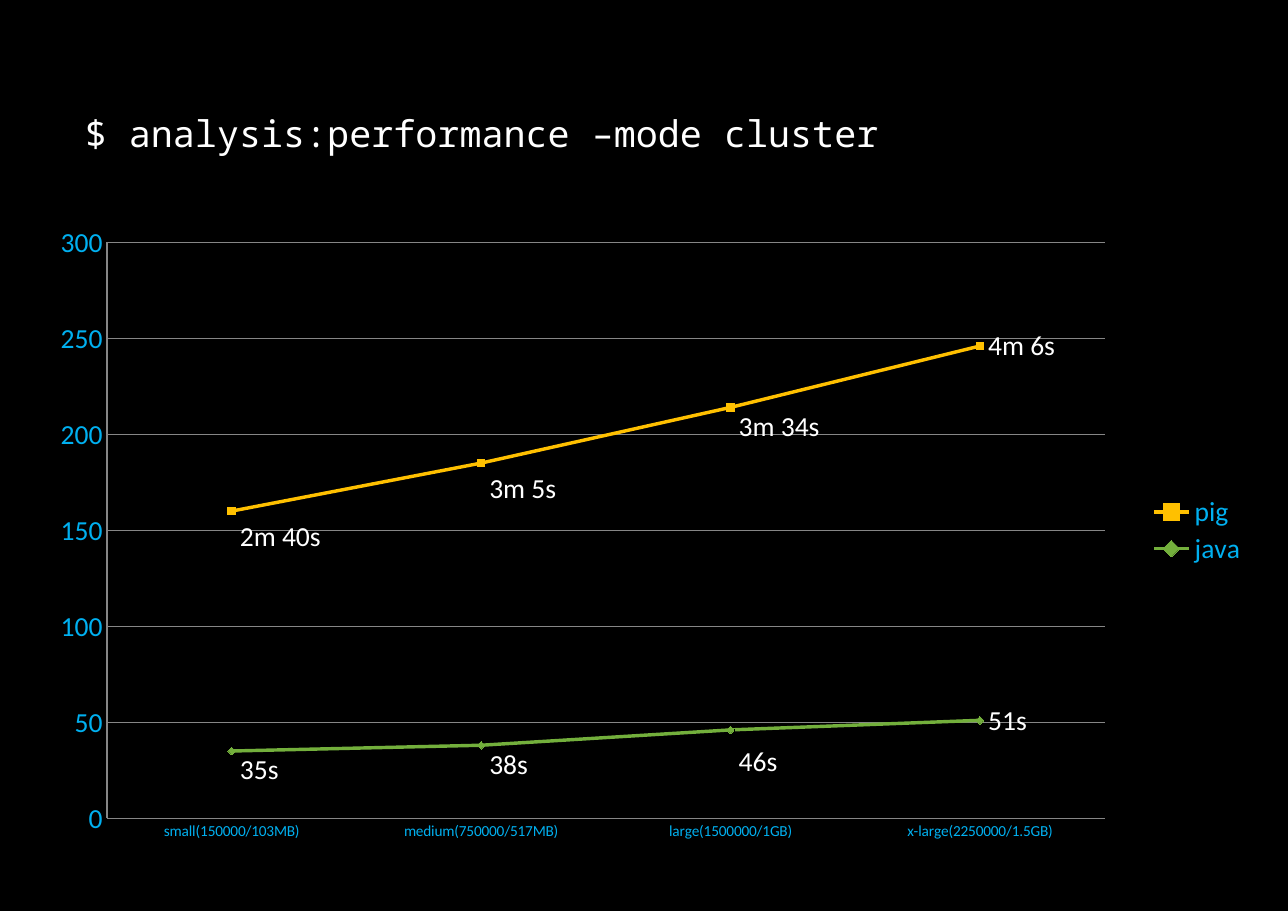
from dataclasses import dataclass

from lxml.etree import SubElement
from pptx import Presentation
from pptx.chart.data import CategoryChartData
from pptx.dml.color import RGBColor as RGB
from pptx.enum.chart import XL_CHART_TYPE as Chart, XL_LABEL_POSITION as LabelPos
from pptx.enum.chart import XL_LEGEND_POSITION as LegendPos, XL_TICK_MARK as Tick
from pptx.enum.text import MSO_ANCHOR as Anchor, MSO_AUTO_SIZE as AutoSize, PP_ALIGN as Align
from pptx.oxml import parse_xml
from pptx.oxml.ns import nsdecls, qn
from pptx.util import Pt


@dataclass(frozen=True)
class Theme:
    background: str = "000000"
    text: str = "FFFFFF"
    axis: str = "00B0F0"
    grid: str = "868686"
    body_font: str = "Calibri"
    title_font: str = "Noto Sans Mono"
    title_size: float = 24
    label_size: float = 18
    category_size: float = 10


@dataclass(frozen=True)
class Series:
    name: str
    color: str
    values: tuple
    labels: tuple
    drops: tuple


CATEGORIES = ("small(150000/103MB)", "medium(750000/517MB)",
              "large(1500000/1GB)", "x-large(2250000/1.5GB)")
SERIES = (
    Series("pig", "FFC000", (160, 185, 214, 246),
           ("2m 40s", "3m 5s", "3m 34s", "4m 6s"), (0.04, 0.04, 0.03, 0)),
    Series("java", "73AF3C", (35, 38, 46, 51),
           ("35s", "38s", "46s", "51s"), (0.03, 0.03, 0.05, 0)),
)


class SlideBuilder:
    def __init__(self, slide, theme):
        self.slide = slide
        self.theme = theme
        fill = slide.background.fill
        fill.solid()
        fill.fore_color.rgb = RGB.from_string(theme.background)

    def style(self, font, size, color, name=None):
        font.name = name or self.theme.body_font
        font.size = Pt(size)
        font.bold = False
        font.color.rgb = RGB.from_string(color)

    def stroke(self, line, color, width):
        line.color.rgb = RGB.from_string(color)
        line.width = Pt(width)

    def title(self, text, x, y, w, h):
        t = self.theme
        sp = self.slide.shapes.title
        sp.left, sp.top, sp.width, sp.height = Pt(x), Pt(y), Pt(w), Pt(h)
        sp.fill.solid()
        sp.fill.fore_color.rgb = RGB.from_string(t.background)
        self.stroke(sp.line, t.background, 2)
        tf = sp.text_frame
        tf.text = text
        tf.word_wrap = True
        tf.auto_size = AutoSize.NONE
        tf.vertical_anchor = Anchor.TOP
        tf.margin_left = Pt(14.4)
        tf.margin_top = tf.margin_right = tf.margin_bottom = Pt(7.2)
        p = tf.paragraphs[0]
        p.alignment = Align.LEFT
        self.style(p.font, t.title_size, t.text, t.title_font)

    def line_chart(self, categories, series, x, y, w, h):
        t = self.theme
        data = CategoryChartData()
        data.categories = categories
        for s in series:
            data.add_series(s.name, s.values)
        chart = self.slide.shapes.add_chart(
            Chart.LINE, Pt(x), Pt(y), Pt(w), Pt(h), data).chart
        chart.has_title = False
        self.style(chart.font, t.category_size, t.axis)
        self.axes(chart)
        self.legend(chart)
        for s, plotted in zip(series, chart.plots[0].series):
            self.series(s, plotted)
        drops = [drop for s in series for drop in s.drops]
        for label, drop in zip(chart.element.iter(qn("c:dLbl")), drops):
            self.layout(label, 1, x=0, y=drop)
        plot_area = chart.element.find(".//" + qn("c:plotArea"))
        self.layout(plot_area, 0, layoutTarget="inner", xMode="edge", yMode="edge",
                    x=0.06, y=0.05, w=0.81, h=0.9)
        plot_area.append(self.chart_fill())
        chart.element.find(qn("c:chart")).addnext(self.chart_fill())

    def axes(self, chart):
        t = self.theme
        sizes = ((chart.category_axis, t.category_size), (chart.value_axis, t.label_size))
        for axis, size in sizes:
            axis.major_tick_mark = axis.minor_tick_mark = Tick.NONE
            self.style(axis.tick_labels.font, size, t.axis)
            self.stroke(axis.format.line, t.grid, 0.75)
        value = chart.value_axis
        value.minimum_scale, value.maximum_scale, value.major_unit = 0, 300, 50
        value.has_major_gridlines = True
        self.stroke(value.major_gridlines.format.line, t.grid, 0.75)

    def legend(self, chart):
        chart.has_legend = True
        legend = chart.legend
        legend.position = LegendPos.RIGHT
        legend.include_in_layout = False
        self.style(legend.font, self.theme.label_size, self.theme.axis)
        self.layout(chart.element.find(".//" + qn("c:legend")), 1,
                    xMode="edge", yMode="edge", x=0.9, y=0.44, w=0.09, h=0.12)

    def series(self, source, plotted):
        plotted.smooth = False
        plotted.marker.style = None
        self.stroke(plotted.format.line, source.color, 2.25)
        for i, text in enumerate(source.labels):
            label = plotted.points[i].data_label
            label.text_frame.text = text
            label.position = LabelPos.RIGHT
            p = label.text_frame.paragraphs[0]
            self.style(p.font, self.theme.label_size, self.theme.text)

    def layout(self, parent, index, **settings):
        for old in parent.findall(qn("c:layout")):
            parent.remove(old)
        layout = parse_xml(f'<c:layout {nsdecls("c")}/>')
        manual = SubElement(layout, qn("c:manualLayout"))
        for name, value in settings.items():
            SubElement(manual, qn("c:" + name)).set("val", str(value))
        parent.insert(index, layout)

    def chart_fill(self):
        return parse_xml(
            f'<c:spPr {nsdecls("c", "a")}><a:solidFill>'
            f'<a:srgbClr val="{self.theme.background}"/></a:solidFill>'
            '<a:ln><a:noFill/></a:ln></c:spPr>')


def main():
    prs = Presentation()
    prs.slide_width, prs.slide_height = Pt(841.68), Pt(595.44)
    slide = prs.slides.add_slide(prs.slide_layouts[5])
    builder = SlideBuilder(slide, Theme())
    builder.title("$ analysis:performance –mode cluster", 41, 65.5, 765.4, 72.7)
    builder.line_chart(CATEGORIES, SERIES, 21.6, 137.5, 805, 418.3)
    prs.save("out.pptx")


if __name__ == "__main__":
    main()
